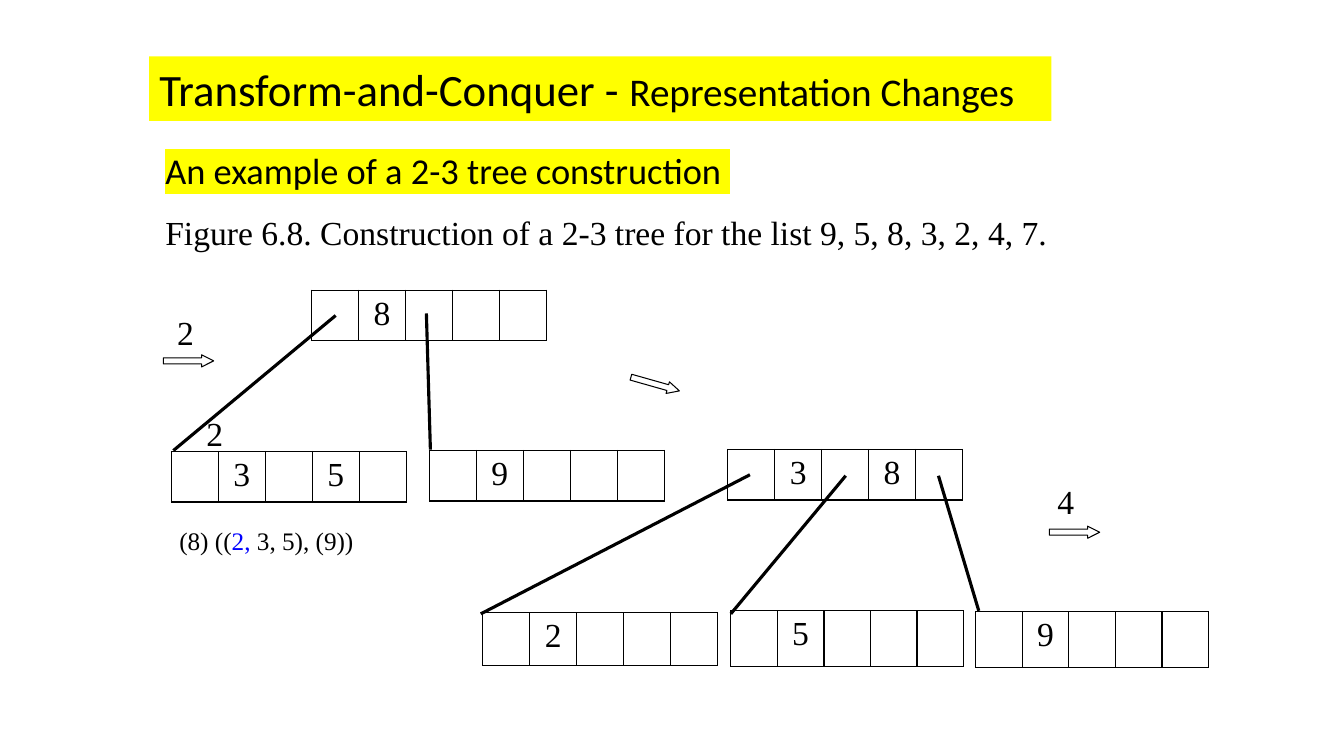
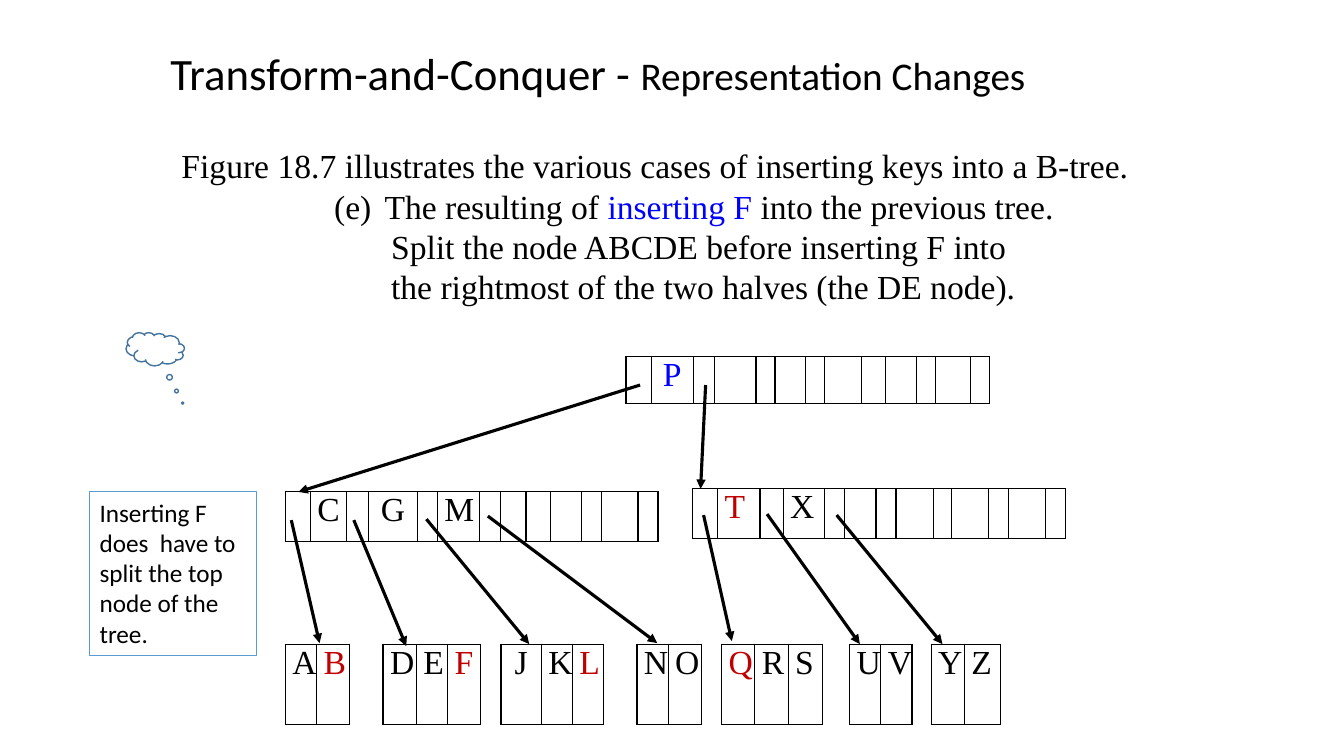
import lxml.etree
import pptx
import pptx.dml.color
import pptx.enum.shapes
import pptx.enum.text
import pptx.oxml.ns
import pptx.util

COLORS = {"ink": "000000", "paper": "FFFFFF", "marker": "FFFF00", "blue": "0000FF",
          "red": "C00000", "cloud": "43739E", "frame": "5B9BD5"}
SANS, SERIF = "Calibri", "Times New Roman"
COLUMNS, ROWS = 133.33, 75  # ten grid steps to the inch
SHAPE = pptx.enum.shapes.MSO_SHAPE
ALIGN = pptx.enum.text.PP_ALIGN


def step(count):
    return pptx.util.Inches(count / 10)


def rgb(name):
    return pptx.dml.color.RGBColor.from_string(COLORS[name])


def add_element(parent, tag, **attributes):
    return lxml.etree.SubElement(parent, pptx.oxml.ns.qn(tag), attributes)


class Deck:
    """Holds the shared style and the slide being built."""

    def __init__(self):
        self.presentation = pptx.Presentation()
        self.presentation.slide_width = step(COLUMNS)
        self.presentation.slide_height = step(ROWS)
        self.slide = None

    def start_slide(self, left, top, width, fill=None):
        self.slide = self.presentation.slides.add_slide(self.presentation.slide_layouts[1])
        title = self.slide.shapes.title
        if fill:
            title.fill.solid()
            title.fill.fore_color.rgb = rgb(fill)
        self.place(title, left, top, width, 6.4)
        self.add_runs(title.text_frame.paragraphs[0], SANS, [
            ("Transform-and-Conquer - ", 32), ("Representation Changes", 28)])

    def place(self, shape, left, top, width, height):
        shape.left, shape.top = step(left), step(top)
        shape.width, shape.height = step(width), step(height)
        frame = shape.text_frame
        frame.word_wrap = True
        frame.auto_size = pptx.enum.text.MSO_AUTO_SIZE.NONE
        frame.vertical_anchor = pptx.enum.text.MSO_ANCHOR.TOP

    def add_runs(self, paragraph, font, runs, align=ALIGN.LEFT, highlight=None):
        """Each run is (text, size) or (text, size, colour)."""
        paragraph.alignment = align
        for text, size, *color in runs:
            run = paragraph.add_run()
            run.text = text
            run.font.size = pptx.util.Pt(size)
            run.font.color.rgb = rgb(color[0] if color else "ink")
            if highlight:
                mark = add_element(run.font._element, "a:highlight")
                add_element(mark, "a:srgbClr", val=COLORS[highlight])
            run.font.name = font

    def body(self, left, top, width, height, paragraphs, spacing=1.0):
        """Each paragraph is a dict with runs and, if needed, layout options."""
        body = self.slide.placeholders[1]
        self.place(body, left, top, width, height)
        frame = body.text_frame
        for index, options in enumerate(paragraphs):
            paragraph = frame.add_paragraph() if index else frame.paragraphs[0]
            paragraph.line_spacing = spacing
            paragraph.space_before = pptx.util.Pt(0)
            properties = paragraph._p.get_or_add_pPr()
            properties.set("marL", str(step(options.get("margin", 0))))
            properties.set("indent", str(step(options.get("indent", 0))))
            if "number" in options:
                add_element(properties, "a:buFont", typeface=SERIF)
                add_element(properties, "a:buAutoNum", type="alphaLcParenBoth",
                            startAt=str(options["number"]))
            else:
                add_element(properties, "a:buNone")
            self.add_runs(paragraph, options.get("font", SERIF), options["runs"],
                          options.get("align", ALIGN.LEFT), options.get("highlight"))

    def text(self, left, top, width, height, runs):
        box = self.slide.shapes.add_textbox(0, 0, 0, 0)
        self.place(box, left, top, width, height)
        self.add_runs(box.text_frame.paragraphs[0], SERIF, runs)

    def shape(self, kind, left, top, width, height, line, fill="paper", weight=0.75,
              adjustments=(), rotation=0, mirrored=False):
        shape = self.slide.shapes.add_shape(kind, 0, 0, 0, 0)
        self.place(shape, left, top, width, height)
        shape.shadow.inherit = False
        if fill:
            shape.fill.solid()
            shape.fill.fore_color.rgb = rgb(fill)
        else:
            shape.fill.background()
        shape.line.color.rgb = rgb(line)
        shape.line.width = pptx.util.Pt(weight)
        for index, value in enumerate(adjustments):
            shape.adjustments[index] = value
        shape.rotation = rotation
        if mirrored:
            shape._element.spPr.get_or_add_xfrm().set("flipH", "1")
        return shape

    def block_arrow(self, left, top, rotation=0):
        self.shape(SHAPE.RIGHT_ARROW, left, top, 5, 1.2, "ink",
                   adjustments=(0.5, 1), rotation=rotation)

    def border(self, cell, side, color, weight):
        line = add_element(cell._tc.get_or_add_tcPr(), f"a:ln{side}",
                           w=str(pptx.util.Pt(weight)))
        add_element(add_element(line, "a:solidFill"), "a:srgbClr", val=COLORS[color])

    def node(self, left, top, height, keys, widths, red="", blue="", flush="",
             margins=(1, 0.5)):
        """One character per cell: a dot is an empty cell, a space a gap between nodes."""
        table = self.slide.shapes.add_table(
            1, len(keys), step(left), step(top), step(sum(widths)), step(height)).table
        table.first_row = table.horz_banding = False
        table.rows[0].height = step(height)
        for index, (key, width) in enumerate(zip(keys, widths)):
            table.columns[index].width = step(width)
            cell = table.cell(0, index)
            cell.margin_left = cell.margin_right = step(margins[0])
            cell.margin_top = cell.margin_bottom = step(margins[1])
            gap = key == " "
            for side in "LRTB":
                open_side = gap and side in "TB"
                self.border(cell, side, "paper" if open_side else "ink",
                            3 if open_side and side == "B" else 1)
            cell.fill.solid()
            cell.fill.fore_color.rgb = rgb("paper")
            if key not in ". ":
                color = "red" if key in red else "blue" if key in blue else "ink"
                self.add_runs(cell.text_frame.paragraphs[0], SERIF, [(key, 24, color)],
                              ALIGN.LEFT if key in flush else ALIGN.CENTER)

    def link(self, start_x, start_y, end_x, end_y, arrow=False):
        connector = self.slide.shapes.add_connector(
            pptx.enum.shapes.MSO_CONNECTOR.STRAIGHT,
            step(start_x), step(start_y), step(end_x), step(end_y))
        connector.line.color.rgb = rgb("ink")
        connector.line.width = pptx.util.Pt(2.25)
        if arrow:
            add_element(connector.line._get_or_add_ln(), "a:tailEnd", type="triangle")
        add_element(connector._element.spPr, "a:effectLst")


def build_two_three_tree(deck):
    deck.start_slide(14.8, 5.6, 89.5, fill="marker")
    deck.body(15.4, 12, 97.1, 12.9, [
        {"runs": [("An example of a 2-3 tree construction ", 26)],
         "font": SANS, "highlight": "marker"},
        {"runs": [("Figure 6.8. Construction of a 2-3 tree for the list "
                   "9, 5, 8, 3, 2, 4, 7.", 24)]},
    ], spacing=1.5)

    # Insertion steps
    for left, top, key in ((16.6, 30.5, "2"), (19.5, 40.5, "2"), (103.9, 47.2, "4")):
        deck.text(left, top, 4.2, 5, [(key, 24)])
    for left, top, rotation in ((16.2, 35.2, 0), (62.5, 37.5, 15.8), (104.1, 52.2, 0)):
        deck.block_arrow(left, top, rotation)

    # Tree nodes, five cells each
    for left, top, height, width, keys in (
            (30.9, 28.8, 5, 4.66, ".8..."),
            (17, 44.8, 5, 4.66, ".3.5."),
            (42.6, 44.7, 5, 4.66, ".9..."),
            (72.2, 44.6, 5, 4.66, ".3.8."),
            (47.9, 60.8, 5.2, 4.66, ".2..."),
            (72.5, 60.6, 5.5, 4.62, ".5..."),
            (96.8, 60.7, 5.5, 4.62, ".9...")):
        deck.node(left, top, height, keys, [width] * len(keys))

    # Branches
    for ends in ((33.3, 31.3, 17.2, 44.7), (42.3, 31.1, 42.7, 44.6),
                 (74.4, 47.1, 47.7, 60.9), (83.9, 47.2, 72.5, 60.9),
                 (93.1, 47.2, 97.1, 60.6)):
        deck.link(*ends)

    deck.text(16.8, 51.6, 32.8, 4, [
        ("(8) ((", 18), ("2, ", 18, "blue"), ("3, 5), (9))", 18)])


def build_b_tree(deck):
    deck.start_slide(15.9, 4, 89.8)
    deck.body(17, 13.9, 104.5, 17.2, [
        {"runs": [("Figure 18.7 illustrates the various cases of inserting keys "
                   "into a B-tree.", 24)]},
        {"runs": [("The resulting of ", 24), ("inserting F ", 24, "blue"),
                  ("into the previous tree. ", 24)],
         "align": ALIGN.CENTER, "margin": 5, "indent": -5, "number": 5},
        {"runs": [("Split the node ABCDE before inserting F into", 24)], "margin": 20.8},
        {"runs": [("the rightmost of the two halves (the DE node).", 24)], "margin": 20.8},
    ])

    # Tree nodes, with all leaves in one table
    tight = (0.7, 0)
    deck.node(62.1, 35.4, 4.6, ".P...........",
              [2.5, 4.2, 2.1, 4.1, 1.9, 3, 1.9, 3.7, 2.4, 3, 1.9, 3.5, 1.9],
              blue="P", margins=tight)
    deck.node(28.3, 48.8, 4.9, ".C.G.M.......",
              [2.5, 3.6, 2.2, 4.8, 2, 4.2, 2.1, 2.5, 2.4, 3.1, 2, 3.6, 2],
              margins=tight)
    deck.node(68.7, 48.5, 4.9, ".T.X.........",
              [2.5, 4.2, 2.3, 4.1, 2, 3.1, 2, 3.7, 1.8, 3.7, 2, 3.6, 2],
              red="T", flush="TX", margins=tight)
    deck.node(28.3, 63.9, 8, "AB DEF JKL NO QRS UV YZ",
              [3.1, 3.3, 3.3, 3.3, 3.1, 3.3, 2, 4, 3.1, 3.1, 3.3, 3.1, 3.3, 2,
               3.3, 3.3, 3.4, 2.7, 3.1, 3.1, 1.9, 3.3, 3.6],
              red="BFLQ", flush="FLNOSYZ", margins=tight)

    # Child pointers
    for ends in ((63.5, 38.2, 29.6, 48.8), (70, 38.2, 69.5, 48.5),
                 (28.9, 51.6, 31.7, 63.8), (35.1, 51.6, 40.3, 64.1),
                 (42.3, 51.5, 52.5, 63.9), (48.4, 51.2, 65.2, 63.8),
                 (69.8, 51.1, 72.6, 63.6), (76.1, 51, 85.3, 63.9),
                 (83, 51.1, 93.5, 63.9)):
        deck.link(*ends, arrow=True)

    # Remark with thought cloud
    deck.shape(SHAPE.CLOUD_CALLOUT, 12.5, 33, 5.8, 3.3, "cloud", weight=1,
               adjustments=(-0.47, 1.62), mirrored=True)
    remark = deck.shape(SHAPE.RECTANGLE, 8.9, 48.8, 16.6, 16.2, "frame", fill=None)
    deck.add_runs(remark.text_frame.paragraphs[0], SANS, [
        ("Inserting F does  have to split the top node of the tree.", 18)])


def main():
    deck = Deck()
    build_two_three_tree(deck)
    build_b_tree(deck)
    deck.presentation.save("out.pptx")


if __name__ == "__main__":
    main()
